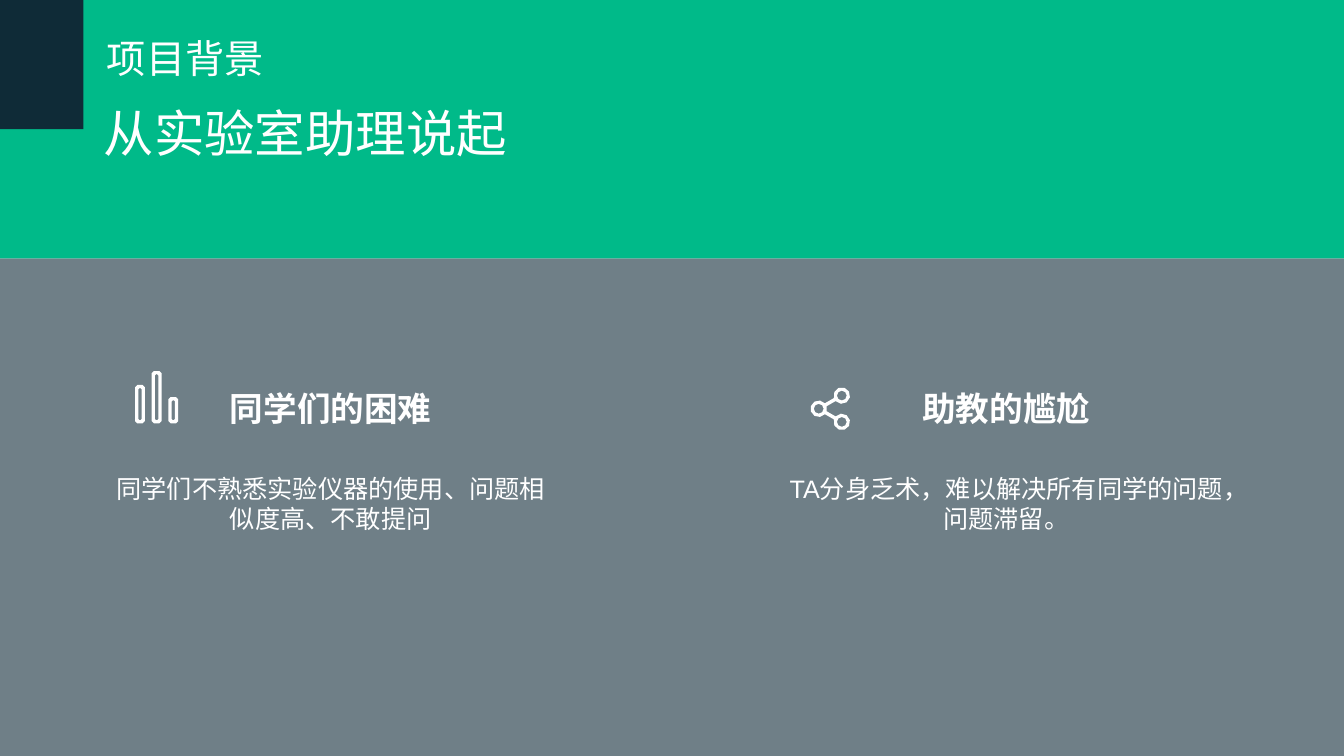
from math import cos, radians, sin

from lxml import etree
from pptx import Presentation
from pptx.dml.color import RGBColor
from pptx.enum.shapes import MSO_SHAPE
from pptx.enum.text import MSO_AUTO_SIZE, PP_ALIGN
from pptx.oxml.ns import qn
from pptx.util import Pt

RECT = MSO_SHAPE.RECTANGLE
FIT_TEXT = MSO_AUTO_SIZE.SHAPE_TO_FIT_TEXT
LEFT, CENTER = PP_ALIGN.LEFT, PP_ALIGN.CENTER
WHITE = RGBColor(0xFF, 0xFF, 0xFF)
GREEN = RGBColor(0x00, 0xBA, 0x89)
NAVY = RGBColor(0x0F, 0x2B, 0x37)
WIDTH, HEIGHT, BANNER = 960, 540, 184.5


def arc(cx, cy, radius, start, end, steps):
    angles = [radians(start + (end - start) * i / steps) for i in range(steps + 1)]
    return [(cx + radius * cos(a), cy + radius * sin(a)) for a in angles]


def cut_rect(left, top, right, bottom, cut):
    return [(left + cut, top), (right - cut, top), (right, top + cut),
            (right, bottom - cut), (right - cut, bottom), (left + cut, bottom),
            (left, bottom - cut), (left, top + cut)]


def bars_icon():
    contours = []
    for i, top in enumerate((275, 265, 283.6)):
        left = 96.5 + 11.9 * i
        contours.append(cut_rect(left, top, left + 7, 302.4, 1.6))
        contours.append(cut_rect(left + 2.3, top + 2.3, left + 4.7, 300.1, 0.8))
    return contours


def share_icon():
    hub, upper, lower = (584.8, 292), (601.3, 282.6), (601.3, 301.4)
    outer, inner, slope, gap = 5.9, 3.5, 29.5, 12
    outline = (arc(*hub, outer, slope + gap, 360 - slope - gap, 7)
               + arc(*upper, outer, 180 - slope + gap, 540 - slope - gap, 8)
               + arc(*hub, outer, gap - slope, slope - gap, 1)
               + arc(*lower, outer, 180 + slope + gap, 540 + slope - gap, 8))
    return [outline] + [arc(*c, inner, 360, 45, 7) for c in (hub, upper, lower)]


class SlideBuilder:
    font = "Arial"

    def __init__(self, slide):
        self.shapes = slide.shapes

    def paint(self, sp, color, alpha=None):
        sp.shadow.inherit = False
        sp.fill.solid()
        sp.fill.fore_color.rgb = color
        sp.line.fill.background()
        if alpha is not None:
            clr = sp.fill._xPr.find(qn("a:solidFill"))[0]
            etree.SubElement(clr, qn("a:alpha")).set("val", str(alpha * 1000))

    def rect(self, x, y, w, h, color, alpha=None):
        sp = self.shapes.add_shape(RECT, Pt(x), Pt(y), Pt(w), Pt(h))
        self.paint(sp, color, alpha)

    def icon(self, contours):
        emu = [[(Pt(x), Pt(y)) for x, y in contour] for contour in contours]
        builder = self.shapes.build_freeform(*emu[0][0])
        builder.add_line_segments(emu[0][1:], close=True)
        for first, *rest in emu[1:]:
            builder.move_to(*first)
            builder.add_line_segments(rest, close=True)
        self.paint(builder.convert_to_shape(), WHITE)

    def text(self, x, y, w, h, text, size, align=LEFT, bold=False, wrap=True):
        sp = self.shapes.add_textbox(Pt(x), Pt(y), Pt(w), Pt(h))
        tf = sp.text_frame
        tf.word_wrap = wrap
        tf.auto_size = FIT_TEXT
        p = tf.paragraphs[0]
        p.alignment = align
        r = p.add_run()
        r.text = text
        r.font.color.rgb = WHITE
        for name, value in {"name": self.font, "size": Pt(size), "bold": bold}.items():
            setattr(r.font, name, value)


def main():
    prs = Presentation()
    prs.slide_width, prs.slide_height = Pt(WIDTH), Pt(HEIGHT)
    s = SlideBuilder(prs.slides.add_slide(prs.slide_layouts[6]))

    s.rect(0, BANNER, WIDTH, HEIGHT - BANNER, NAVY, alpha=60)
    s.rect(0, 0, WIDTH, BANNER, GREEN)
    s.text(69.3, 21, 257, 43, "项目背景", 28)

    columns = [
        (69.2, bars_icon(), "同学们的困难", "同学们不熟悉实验仪器的使用、问题相似度高、不敢提问"),
        (551.8, share_icon(), "助教的尴尬", "TA分身乏术，难以解决所有同学的问题，问题滞留。"),
    ]
    for x, icon, heading, body in columns:
        s.icon(icon)
        s.text(x + 79.2, 273.6, 175.7, 38, heading, 24, CENTER, bold=True)
        s.text(x, 334.5, 334, 52, body, 18, CENTER)

    s.rect(0, 0, 59.5, 92.25, NAVY)
    s.text(67, 69.4, 302.4, 53, "从实验室助理说起", 36, wrap=False)

    prs.save("out.pptx")


if __name__ == "__main__":
    main()
